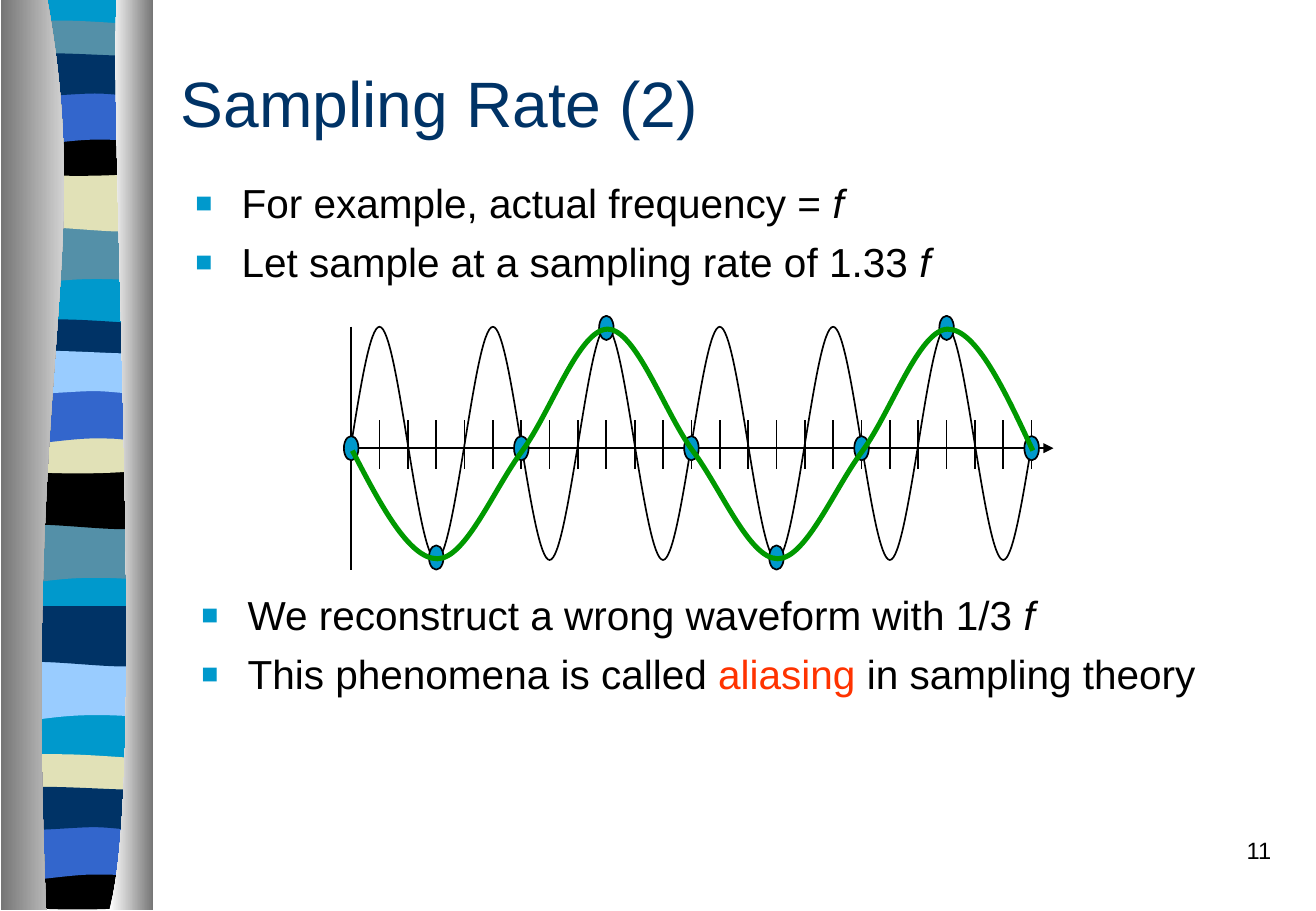
from dataclasses import dataclass

from lxml.etree import SubElement
from pptx import Presentation
from pptx.dml.color import RGBColor as Rgb
from pptx.enum.shapes import MSO_CONNECTOR as Connector, MSO_SHAPE as Preset
from pptx.enum.text import MSO_ANCHOR as Anchor, PP_ALIGN as Align
from pptx.oxml.ns import qn
from pptx.util import Cm, Pt

COLORS = {"sky": "0099CC", "teal": "5490A8", "sand": "E1E1B7", "black": "000000",
          "blue": "3366CC", "navy": "003366", "pale": "99CCFF", "green": "009900",
          "red": "FF3300", "grey": "767676", "white": "FFFFFF"}
FONT = "Arial"

# Outlines relative to a band's top left: (x, y) is a line, six numbers a cubic curve
RIBBON_WIDTH = 1.17
OUTLINES = {
    "slope": [(1.17, 0), (1.17, 0.47), (0.36, 0.39, 0.2, 0.55, 0, 0.47), (0, 0)],
    "dip": [(1.17, 0), (1.17, 0.47), (0.98, 0.55, 0.36, 0.42, 0, 0.47), (0, 0)],
    "lens": [(1.17, 0.05), (1.17, 0.29), (0.98, 0.33, 0.2, 0.33, 0, 0.29), (0, 0.05),
             (0.08, 0, 0.26, 0.01, 0.45, 0.01), (0.65, 0.01, 1.02, 0.04, 1.17, 0.05)],
    "sag": [(1.17, 0), (1.17, 0.33), (0.98, 0.38, 0.2, 0.38, 0, 0.33), (0, 0),
            (0.72, 0.05, 0.93, 0, 1.17, 0)],
    "arch": [(1.17, 0), (1.17, 0.47), (0.99, 0.41, 0.92, 0.41, 0.72, 0.41),
             (0.53, 0.41, 0.18, 0.47, 0, 0.47), (0, 0)],
    "swell": [(1.17, 0.05), (1.17, 0.36), (1.1, 0.41, 0.92, 0.36, 0.72, 0.36),
              (0.53, 0.36, 0.12, 0.41, 0, 0.36), (0, 0.05),
              (0.17, 0, 0.8, 0.05, 0.99, 0.05), (1.19, 0.05, 1.14, 0.05, 1.17, 0.05)],
}


@dataclass
class Band:
    outline: str
    top: float
    color: str
    left: float = 0.06


@dataclass
class Column:
    outline: list
    start: str
    end: str


@dataclass
class Span:
    text: str
    color: str = "black"
    italic: bool = False


@dataclass
class TextBlock:
    frame: tuple
    paras: list
    size: float
    bullets: bool = False
    align: Align = Align.LEFT
    anchor: Anchor = Anchor.TOP
    before: float = 0


BANDS = [
    Band("slope", 1.85, "teal"), Band("dip", 1.41, "sand"), Band("lens", 0.16, "teal"),
    Band("sag", 1.08, "black"), Band("arch", 0.74, "blue"), Band("swell", 0.41, "navy"),
    Band("slope", 4.31, "teal", 0.05), Band("dip", 3.86, "black", 0.05),
    Band("lens", 2.62, "navy", 0.05), Band("sag", 3.53, "sand", 0.05),
    Band("arch", 3.2, "blue", 0.05), Band("swell", 2.86, "pale", 0.05),
    Band("slope", 5.44, "pale"), Band("dip", 4.99, "navy"),
    Band("lens", 6.2, "sand", 0.05), Band("sag", 7.12, "black", 0.05),
    Band("arch", 6.79, "blue", 0.05), Band("swell", 6.45, "navy", 0.05),
]
COLUMNS = [
    Column([(0.39, 0), (0.78, 2.16, 0.19, 2.96, 0.38, 7.49), (0.01, 7.49), (0.01, 0)],
           "grey", "white"),
    Column([(0.96, 0), (0.9, 1.25, 1.21, 6.46, 0.9, 7.49), (1.26, 7.49), (1.26, 0)],
           "white", "grey"),
]
TEXTS = [
    TextBlock((1.39, 0.5, 9.21, 0.68), [[Span("Sampling Rate (2)", "navy")]], 38,
              anchor=Anchor.MIDDLE),
    TextBlock((1.51, 1.42, 9.23, 1.1), [
        [Span("For example, actual frequency = "), Span("f", italic=True)],
        [Span("Let sample at a sampling rate of 1.33 "), Span("f", italic=True)],
    ], 24, bullets=True, before=6),
    TextBlock((1.56, 4.81, 9.23, 1.35), [
        [Span("We reconstruct a wrong waveform with 1/3 "), Span("f", italic=True)],
        [Span("This phenomena is called "), Span("aliasing ", "red"),
         Span("in sampling theory")],
    ], 24, bullets=True, before=6),
    TextBlock((8.3, 6.83, 2.26, 0.5), [[Span("11")]], 14, align=Align.RIGHT, before=8.8),
]

# Plot geometry
ORIGIN_X, AXIS_Y = 2.89, 3.69
TICK_GAP, TICK_COUNT, TICKS_PER_SAMPLE = 5.6 / 24, 24, 3
MARKER_WIDTH, MARKER_HEIGHT = 0.12, 0.2
SAMPLE_YS = [3.69, 4.59, 3.69, 2.7]
# Each arc: heights of its two control points and of its end
SIGNAL_ARCS = [(3.18, 2.69, 2.69), (2.69, 3.18, 3.66),
               (4.13, 4.61, 4.61), (4.61, 4.13, 3.66)] * 6
ALIAS_ARCS = [(4.16, 4.6, 4.6), (4.6, 4.02, 3.71), (3.39, 2.71, 2.71), (2.71, 3.39, 3.71),
              (4.02, 4.6, 4.6), (4.6, 4.02, 3.71), (3.39, 2.71, 2.71), (2.71, 3.21, 3.71)]


def length(inches: float) -> Cm:
    return Cm(inches * 2.54)


def color(name: str) -> Rgb:
    return Rgb.from_string(COLORS[name])


def draw_outline(page, outline: list, left: float = 0, top: float = 0, closed: bool = True):
    points = [(length(left + segment[i]), length(top + segment[i + 1]))
              for segment in outline for i in range(0, len(segment), 2)]
    builder = page.shapes.build_freeform(*points[0], scale=1.0)
    builder.add_line_segments(points[1:], close=closed)
    shape = builder.convert_to_shape()
    # Join each curve's three points into one cubic segment
    track = next(shape._element.iter(qn("a:path")))
    lines = iter(track.findall(qn("a:lnTo")))
    for segment in outline[1:]:
        first = next(lines)
        if len(segment) == 6:
            first.tag = qn("a:cubicBezTo")
            for line in (next(lines), next(lines)):
                first.append(line[0])
                track.remove(line)
    shape.shadow.inherit = False
    shape.line.fill.background()
    return shape


def paint(shape, fill: str) -> None:
    shape.fill.solid()
    shape.fill.fore_color.rgb = color(fill)


def stroke(shape, name: str, width: float) -> None:
    shape.line.color.rgb = color(name)
    shape.line.width = Pt(width)


def draw_column(page, column: Column) -> None:
    shape = draw_outline(page, column.outline)
    shape.fill.gradient()
    shape.fill.gradient_angle = 0
    for stop, name in zip(shape.fill.gradient_stops, (column.start, column.end)):
        stop.color.rgb = color(name)


def draw_wave(page, start: tuple, step: float, arcs: list, name: str, width: float) -> None:
    outline = [start]
    for index, (first, second, end) in enumerate(arcs):
        x = start[0] + index * step
        outline.append((x + step / 3, first, x + step * 2 / 3, second, x + step, end))
    shape = draw_outline(page, outline, closed=False)
    shape.fill.background()
    stroke(shape, name, width)


def draw_line(page, x1: float, y1: float, x2: float, y2: float, arrow: bool = False) -> None:
    line = page.shapes.add_connector(Connector.STRAIGHT, *map(length, (x1, y1, x2, y2)))
    stroke(line, "black", 1)
    if arrow:
        SubElement(line.line._get_or_add_ln(), qn("a:tailEnd"), type="triangle")
    SubElement(line._element.spPr, qn("a:effectLst"))


def draw_marker(page, x: float, y: float) -> None:
    frame = (x - MARKER_WIDTH / 2, y - MARKER_HEIGHT / 2, MARKER_WIDTH, MARKER_HEIGHT)
    marker = page.shapes.add_shape(Preset.FLOWCHART_CONNECTOR, *map(length, frame))
    marker.shadow.inherit = False
    paint(marker, "sky")
    stroke(marker, "black", 1)


def add_bullet(para) -> None:
    props = para._p.get_or_add_pPr()
    props.set("marL", str(length(0.38)))
    props.set("indent", str(-length(0.38)))
    tint = SubElement(props, qn("a:buClr"))
    SubElement(tint, qn("a:srgbClr"), val=COLORS["sky"])
    SubElement(props, qn("a:buSzPct"), val="70000")
    SubElement(props, qn("a:buFont"), typeface=FONT)
    SubElement(props, qn("a:buChar"), char="■")


def draw_text(page, block: TextBlock) -> None:
    frame = page.shapes.add_textbox(*map(length, block.frame)).text_frame
    frame.word_wrap = True
    frame.vertical_anchor = block.anchor
    for index, spans in enumerate(block.paras):
        para = frame.add_paragraph() if index else frame.paragraphs[0]
        para.alignment = block.align
        para.space_before = Pt(block.before)
        if block.bullets:
            add_bullet(para)
        for span in spans:
            run = para.add_run()
            run.text = span.text
            run.font.name, run.font.size = FONT, Pt(block.size)
            run.font.italic = span.italic
            run.font.color.rgb = color(span.color)


def main() -> None:
    deck = Presentation()
    deck.slide_width, deck.slide_height = length(10.83), length(7.5)
    page = deck.slides.add_slide(deck.slide_layouts[6])

    # Ribbon between two metallic columns
    right = 0.06 + RIBBON_WIDTH
    paint(draw_outline(page, [(0.06, 0), (right, 0), (right, 7.47), (0.06, 7.47)]), "sky")
    for band in BANDS:
        paint(draw_outline(page, OUTLINES[band.outline], band.left, band.top), band.color)
    for column in COLUMNS:
        draw_column(page, column)

    # Axes, ticks and the sampled signal
    draw_line(page, ORIGIN_X, AXIS_Y, 8.67, AXIS_Y, arrow=True)
    draw_line(page, ORIGIN_X, 2.69, ORIGIN_X, 4.69)
    for tick in range(1, TICK_COUNT + 1):
        x = ORIGIN_X + tick * TICK_GAP
        draw_line(page, x, 3.46, x, 3.86)
    draw_wave(page, (ORIGIN_X, 3.66), TICK_GAP, SIGNAL_ARCS, "black", 1)

    # Sample points and the aliased wave through them
    sample_gap = TICK_GAP * TICKS_PER_SAMPLE
    for sample in range(len(ALIAS_ARCS) + 1):
        draw_marker(page, ORIGIN_X + sample * sample_gap, SAMPLE_YS[sample % 4])
    draw_wave(page, (2.9, 3.71), sample_gap, ALIAS_ARCS, "green", 3)

    # Title, bullets and page number
    for block in TEXTS:
        draw_text(page, block)
    deck.save("out.pptx")


if __name__ == "__main__":
    main()
